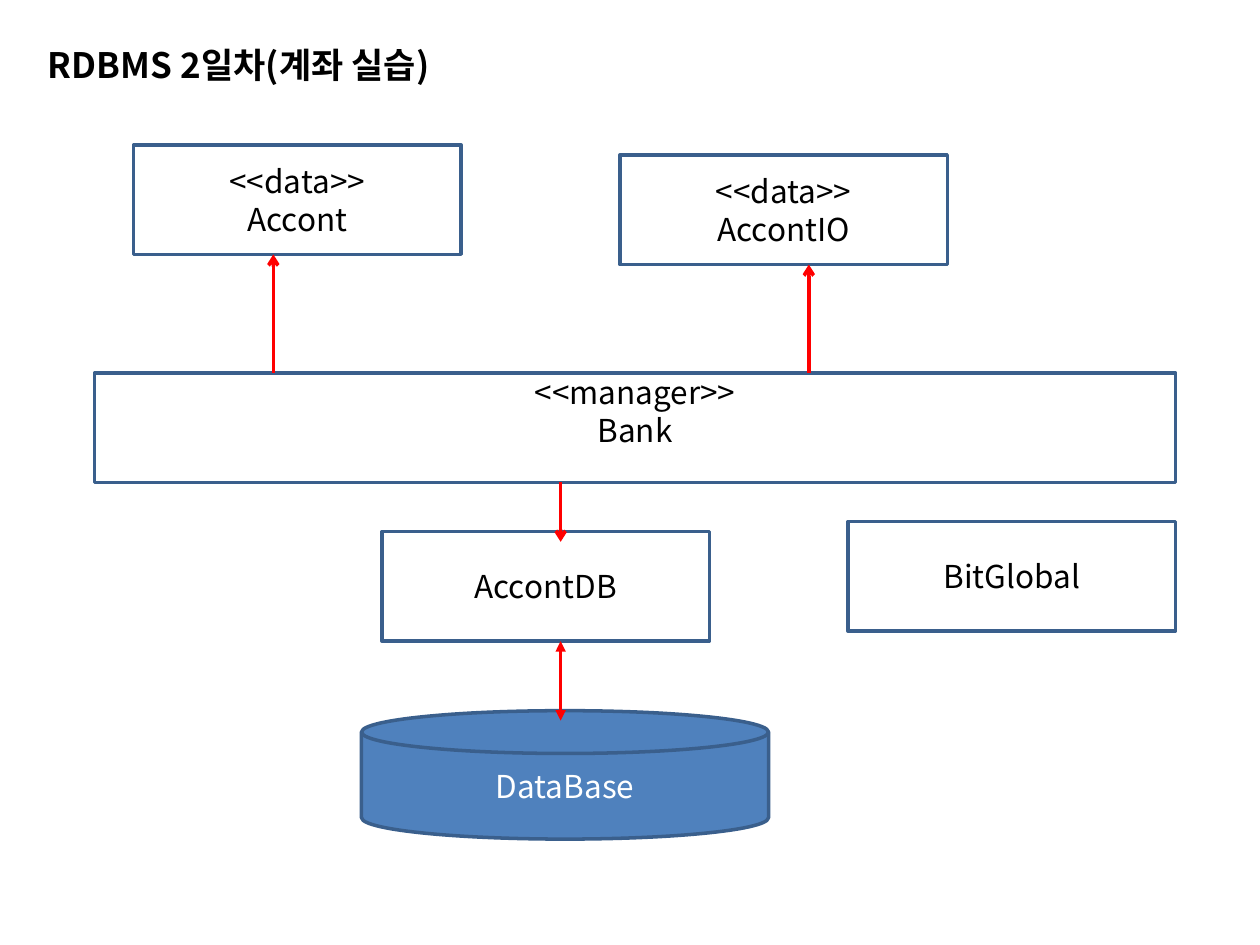
from pptx import Presentation
from pptx.dml.color import RGBColor
from pptx.enum.shapes import MSO_CONNECTOR, MSO_SHAPE
from pptx.enum.text import MSO_ANCHOR, MSO_AUTO_SIZE, PP_ALIGN
from pptx.oxml.ns import qn
from pptx.util import Pt
from lxml.etree import SubElement

# Content: name -> lines, left, top
FONT = "Noto Sans CJK KR"
TITLE = "RDBMS 2일차(계좌 실습)"
BOX_W, BOX_H = 187.2, 62.6
CLASSES = {
    "account": (["<<data>>", "Accont"], 76.3, 82.8),
    "account_io": (["<<data>>", "AccontIO"], 354.2, 88.6),
    "account_db": (["AccontDB"], 218.2, 303.8),
    "global": (["BitGlobal"], 484.6, 298.1),
}
BANK = (["<<manager>>", "Bank"], 54, 213.1, 617.8, BOX_H)
DATABASE = (["DataBase"], 206.6, 406.1, 232.6, 73.4)

# Vertical arrows: x, start y, end y, head, tail
ARROWS = [
    (156.2, 213.1, 145.4, None, "arrow"),
    (462.2, 213.1, 151.2, None, "arrow"),
    (320.4, 275.7, 309.6, None, "arrow"),
    (320.4, 366.4, 411.8, "triangle", "triangle"),
]


def colour(value):
    return RGBColor.from_string(value)


def style_text(para, size, ink, align, bold=False):
    para.alignment = align
    para.font.size = Pt(size)
    para.font.bold = bold
    para.font.color.rgb = colour(ink)
    para.font.name = FONT
    props = para._p.pPr.find(qn("a:defRPr"))
    SubElement(props, qn("a:ea")).set("typeface", FONT)


def add_node(page, kind, lines, left, top, width, height, fill, ink):
    box = page.shapes.add_shape(kind, Pt(left), Pt(top), Pt(width), Pt(height))
    box.shadow.inherit = False
    box.fill.solid()
    box.fill.fore_color.rgb = colour(fill)
    box.line.color.rgb = colour("3A5F8C")
    box.line.width = Pt(2)
    frame = box.text_frame
    frame.word_wrap = True
    frame.vertical_anchor = MSO_ANCHOR.MIDDLE
    frame.text = "\n".join(lines)
    for para in frame.paragraphs:
        style_text(para, 18, ink, PP_ALIGN.CENTER)
    return box


def add_arrow(page, x, start, end, head, tail):
    arrow = page.shapes.add_connector(
        MSO_CONNECTOR.STRAIGHT, Pt(x), Pt(start), Pt(x), Pt(end))
    arrow.line.color.rgb = colour("FF0000")
    arrow.line.width = Pt(2)
    line = arrow.line._get_or_add_ln()
    for tag, kind in (("a:headEnd", head), ("a:tailEnd", tail)):
        if kind:
            SubElement(line, qn(tag)).set("type", kind)
    SubElement(arrow._element.spPr, qn("a:effectLst"))


def main():
    deck = Presentation()
    deck.slide_width, deck.slide_height = Pt(720), Pt(540)
    page = deck.slides.add_slide(deck.slide_layouts[5])

    # Title
    title = page.shapes.title
    title.left, title.top = Pt(20.2), Pt(20.9)
    title.width, title.height = Pt(470.9), Pt(31.7)
    title.text_frame.text = TITLE
    title.text_frame.auto_size = MSO_AUTO_SIZE.NONE
    title.text_frame.vertical_anchor = MSO_ANCHOR.MIDDLE
    style_text(title.text_frame.paragraphs[0], 20, "000000", PP_ALIGN.LEFT, True)

    # Classes, manager and database
    for lines, left, top in CLASSES.values():
        add_node(page, MSO_SHAPE.RECTANGLE, lines, left, top, BOX_W, BOX_H,
                 "FFFFFF", "000000")
    bank = add_node(page, MSO_SHAPE.RECTANGLE, *BANK, "FFFFFF", "000000")
    bank.text_frame.vertical_anchor = MSO_ANCHOR.TOP
    bank.text_frame.margin_top = Pt(0)
    add_node(page, MSO_SHAPE.FLOWCHART_MAGNETIC_DISK, *DATABASE, "4F81BD", "FFFFFF")

    # Relations
    for arrow in ARROWS:
        add_arrow(page, *arrow)

    deck.save("out.pptx")


if __name__ == "__main__":
    main()
